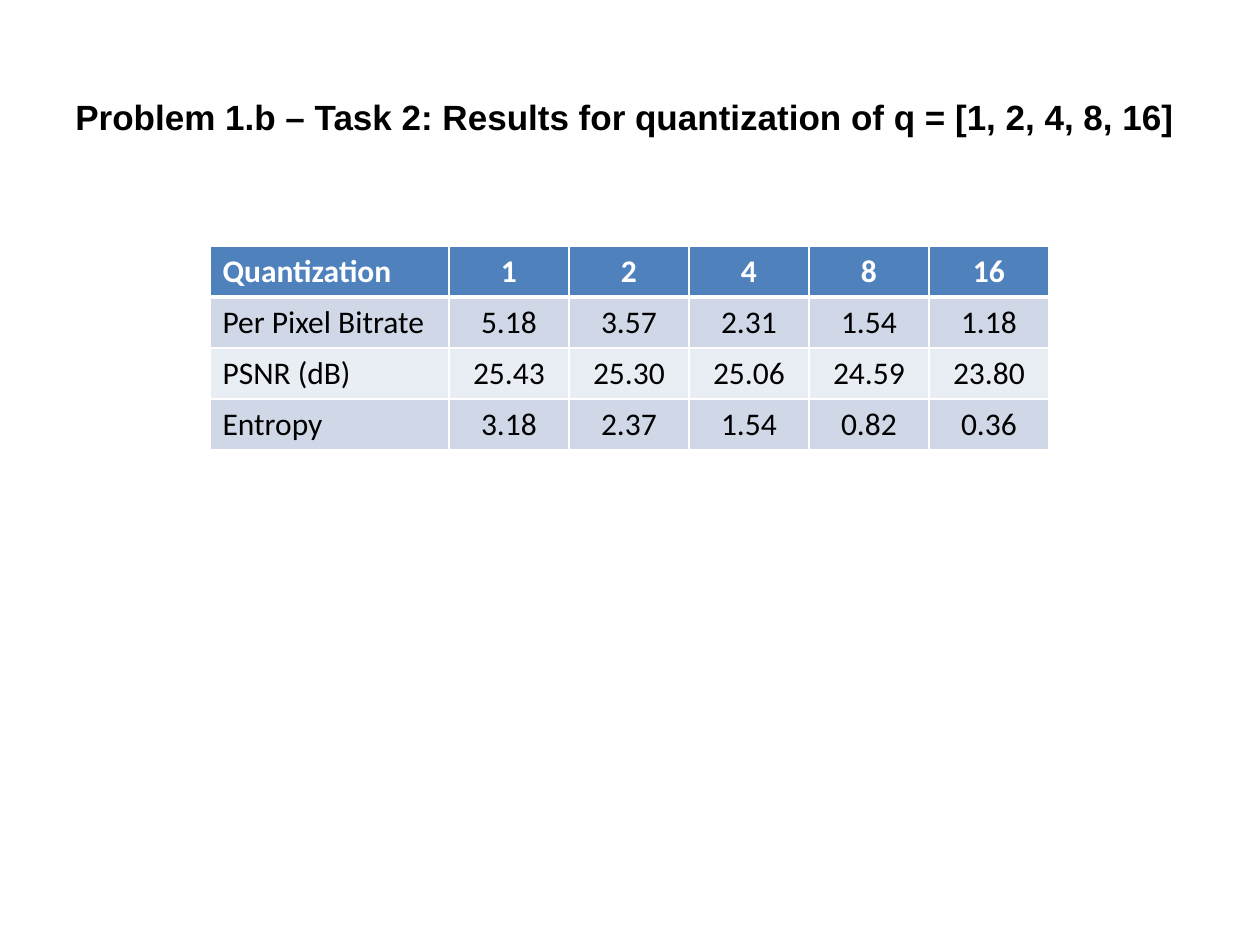
from dataclasses import dataclass

from lxml import etree
from pptx import Presentation
from pptx.dml.color import RGBColor
from pptx.enum.text import MSO_ANCHOR, PP_ALIGN
from pptx.oxml.ns import qn
from pptx.util import Emu, Pt

LEFT, CENTER = PP_ALIGN.LEFT, PP_ALIGN.CENTER
MIDDLE = MSO_ANCHOR.MIDDLE
PX_PER_INCH = 126
BLANK_LAYOUT = 6


@dataclass(frozen=True)
class Theme:
    title_font: str = "Arial"
    table_font: str = "Calibri"
    title_size: int = 20
    table_size: int = 18
    text: str = "000000"
    header_text: str = "FFFFFF"
    header_fill: str = "4F81BD"
    band_fills: tuple = ("D0D8E8", "E9EDF4")
    border: str = "FFFFFF"
    border_width: int = 1
    header_rule_width: int = 3


THEME = Theme()

TITLE = "Problem 1.b – Task 2: Results for quantization of q = [1, 2, 4, 8, 16]"
RESULTS = [
    ["Quantization", "1", "2", "4", "8", "16"],
    ["Per Pixel Bitrate", "5.18", "3.57", "2.31", "1.54", "1.18"],
    ["PSNR (dB)", "25.43", "25.30", "25.06", "24.59", "23.80"],
    ["Entropy", "3.18", "2.37", "1.54", "0.82", "0.36"],
]


def px(length):
    return Emu(round(length * 914400 / PX_PER_INCH))


def style_paragraph(paragraph, name, size, color, bold, alignment):
    paragraph.alignment = alignment
    font = paragraph.font
    font.name, font.size, font.bold = name, Pt(size), bold
    font.color.rgb = RGBColor.from_string(color)


def add_title(slide, box, text):
    text_box = slide.shapes.add_textbox(*map(px, box))
    frame = text_box.text_frame
    frame.word_wrap = True
    frame.vertical_anchor = MIDDLE
    paragraph = frame.paragraphs[0]
    paragraph.text = text
    style_paragraph(paragraph, THEME.title_font, THEME.title_size, THEME.text, True, LEFT)


def set_borders(cell, top, bottom):
    properties = cell._tc.get_or_add_tcPr()
    side = THEME.border_width
    for tag, width in (("lnL", side), ("lnR", side), ("lnT", top), ("lnB", bottom)):
        line = etree.SubElement(properties, qn(f"a:{tag}"), w=str(Pt(width)))
        fill = etree.SubElement(line, qn("a:solidFill"))
        etree.SubElement(fill, qn("a:srgbClr"), val=THEME.border)


def add_results_table(slide, box, rows, label_width):
    left, top, width, height = box
    row_count, column_count = len(rows), len(rows[0])
    table = slide.shapes.add_table(row_count, column_count, *map(px, box)).table

    # Wide label column, equal value columns, equal rows
    value_width = (width - label_width) / (column_count - 1)
    for index, column in enumerate(table.columns):
        column.width = px(value_width if index else label_width)
    for row in table.rows:
        row.height = px(height / row_count)

    for row_index, values in enumerate(rows):
        is_header = row_index == 0
        bands = THEME.band_fills
        fill = THEME.header_fill if is_header else bands[(row_index - 1) % len(bands)]
        color = THEME.header_text if is_header else THEME.text
        # The heavy rule lies between the header and the first data row
        top_rule = THEME.header_rule_width if row_index == 1 else THEME.border_width
        bottom_rule = THEME.header_rule_width if is_header else THEME.border_width
        for column_index, value in enumerate(values):
            cell = table.cell(row_index, column_index)
            set_borders(cell, top_rule, bottom_rule)
            cell.fill.solid()
            cell.fill.fore_color.rgb = RGBColor.from_string(fill)
            cell.text = value
            style_paragraph(cell.text_frame.paragraphs[0], THEME.table_font, THEME.table_size,
                            color, is_header, CENTER if column_index else LEFT)


def main():
    presentation = Presentation()
    presentation.slide_width, presentation.slide_height = px(1260), px(945)
    slide = presentation.slides.add_slide(presentation.slide_layouts[BLANK_LAYOUT])
    add_title(slide, (63, 38, 1134, 157), TITLE)
    add_results_table(slide, (210, 246, 839, 204), RESULTS, label_width=239)
    presentation.save("out.pptx")


if __name__ == "__main__":
    main()
